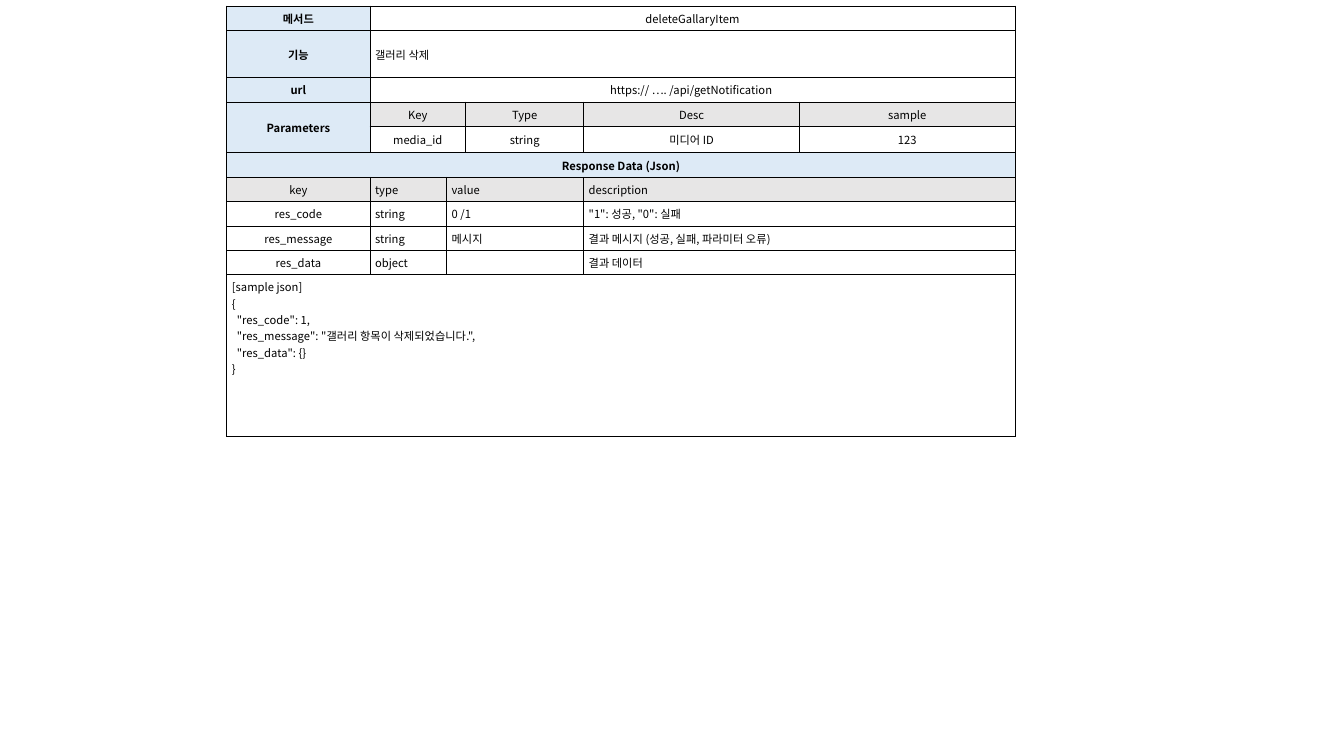
from lxml import etree
from pptx import Presentation
from pptx.dml.color import RGBColor
from pptx.enum.text import MSO_ANCHOR, PP_ALIGN
from pptx.oxml.ns import qn
from pptx.util import Inches, Pt

CENTER, LEFT = PP_ALIGN.CENTER, PP_ALIGN.LEFT
TOP, MIDDLE = MSO_ANCHOR.TOP, MSO_ANCHOR.MIDDLE

FONT = "Noto Sans CJK KR"
BLACK, WHITE, BLUE, GRAY = "000000", "FFFFFF", "DDEAF6", "E7E6E6"

COLUMNS = [1.42, 0.76, 0.19, 1.17, 2.14, 2.14]
ROWS = [0.2, 0.47] + [0.2] * 8 + [1.6]

METHOD = [
    ("메서드", "deleteGallaryItem", CENTER),
    ("기능", "갤러리 삭제", LEFT),
    ("url", "https:// …. /api/getNotification ", CENTER),
]
PARAMETERS = [
    ("Key", "Type", "Desc", "sample"),
    ("media_id", "string", "미디어 ID", "123"),
]
RESPONSE = [
    ("key", "type", "value", "description"),
    ("res_code", "string", "0 /1", '"1": 성공, "0": 실패'),
    ("res_message", "string", "메시지", "결과 메시지 (성공, 실패, 파라미터 오류)"),
    ("res_data", "object", "", "결과 데이터"),
]
SAMPLE_JSON = """[sample json]
{
  "res_code": 1,
  "res_message": "갤러리 항목이 삭제되었습니다.",
  "res_data": {}
}"""


def rgb(hex_color):
    return RGBColor.from_string(hex_color)


def add_borders(cell):
    properties = cell._tc.get_or_add_tcPr()
    for side in ("a:lnL", "a:lnR", "a:lnT", "a:lnB"):
        line = etree.SubElement(properties, qn(side), w=str(Pt(0.75)))
        color = etree.SubElement(line, qn("a:solidFill"))
        etree.SubElement(color, qn("a:srgbClr"), val=BLACK)


def format_paragraph(paragraph, align, bold):
    paragraph.alignment = align
    font = paragraph.font
    font.size, font.name, font.bold = Pt(8), FONT, bold
    font.color.rgb = rgb(BLACK)
    defaults = paragraph._p.pPr.find(qn("a:defRPr"))
    etree.SubElement(defaults, qn("a:ea"), typeface=FONT)


def write_cell(table, row, column, text, fill=WHITE, align=CENTER, bold=False,
               span=(1, 1), anchor=MIDDLE):
    """Fill one cell, merged over span = (rows, columns)."""
    cell = table.cell(row, column)
    if span != (1, 1):
        cell.merge(table.cell(row + span[0] - 1, column + span[1] - 1))
    cell.fill.solid()
    cell.fill.fore_color.rgb = rgb(fill)
    cell.vertical_anchor = anchor
    cell.margin_left = cell.margin_right = Inches(0.05)
    cell.margin_top = cell.margin_bottom = Inches(0.04)
    cell.text = text
    for paragraph in cell.text_frame.paragraphs:
        format_paragraph(paragraph, align, bold)


def add_grid(slide):
    frame = slide.shapes.add_table(
        len(ROWS), len(COLUMNS), Inches(2.25), Inches(0.06),
        Inches(sum(COLUMNS)), Inches(sum(ROWS)))
    table = frame.table
    table.first_row = table.horz_banding = False
    for column, width in zip(table.columns, COLUMNS):
        column.width = Inches(width)
    for row, height in zip(table.rows, ROWS):
        row.height = Inches(height)
    for cell in table.iter_cells():
        add_borders(cell)
    return table


def write_method(table):
    for row, (label, value, align) in enumerate(METHOD):
        write_cell(table, row, 0, label, BLUE, bold=True)
        write_cell(table, row, 1, value, align=align, span=(1, 5))


def write_parameters(table, top):
    write_cell(table, top, 0, "Parameters", BLUE, bold=True, span=(2, 1))
    places = [(1, 2), (3, 1), (4, 1), (5, 1)]
    for row, values in enumerate(PARAMETERS):
        for (column, width), value in zip(places, values):
            write_cell(table, top + row, column, value,
                       WHITE if row else GRAY, span=(1, width))
    table.cell(top + 1, 4).margin_top = Inches(0.05)
    table.cell(top + 1, 4).margin_bottom = Inches(0.05)


def write_response(table, top):
    write_cell(table, top, 0, "Response Data (Json)", BLUE, bold=True,
               span=(1, 6))
    places = [(0, 1), (1, 1), (2, 2), (4, 2)]
    for row, values in enumerate(RESPONSE):
        for (column, width), value in zip(places, values):
            write_cell(table, top + 1 + row, column, value,
                       WHITE if row else GRAY, LEFT if column else CENTER,
                       span=(1, width))


def main():
    deck = Presentation()
    deck.slide_width, deck.slide_height = Inches(13.33), Inches(7.5)
    slide = deck.slides.add_slide(deck.slide_layouts[6])
    table = add_grid(slide)
    write_method(table)
    write_parameters(table, top=3)
    write_response(table, top=5)
    write_cell(table, len(ROWS) - 1, 0, SAMPLE_JSON, align=LEFT,
               span=(1, 6), anchor=TOP)
    deck.save("out.pptx")


if __name__ == "__main__":
    main()
